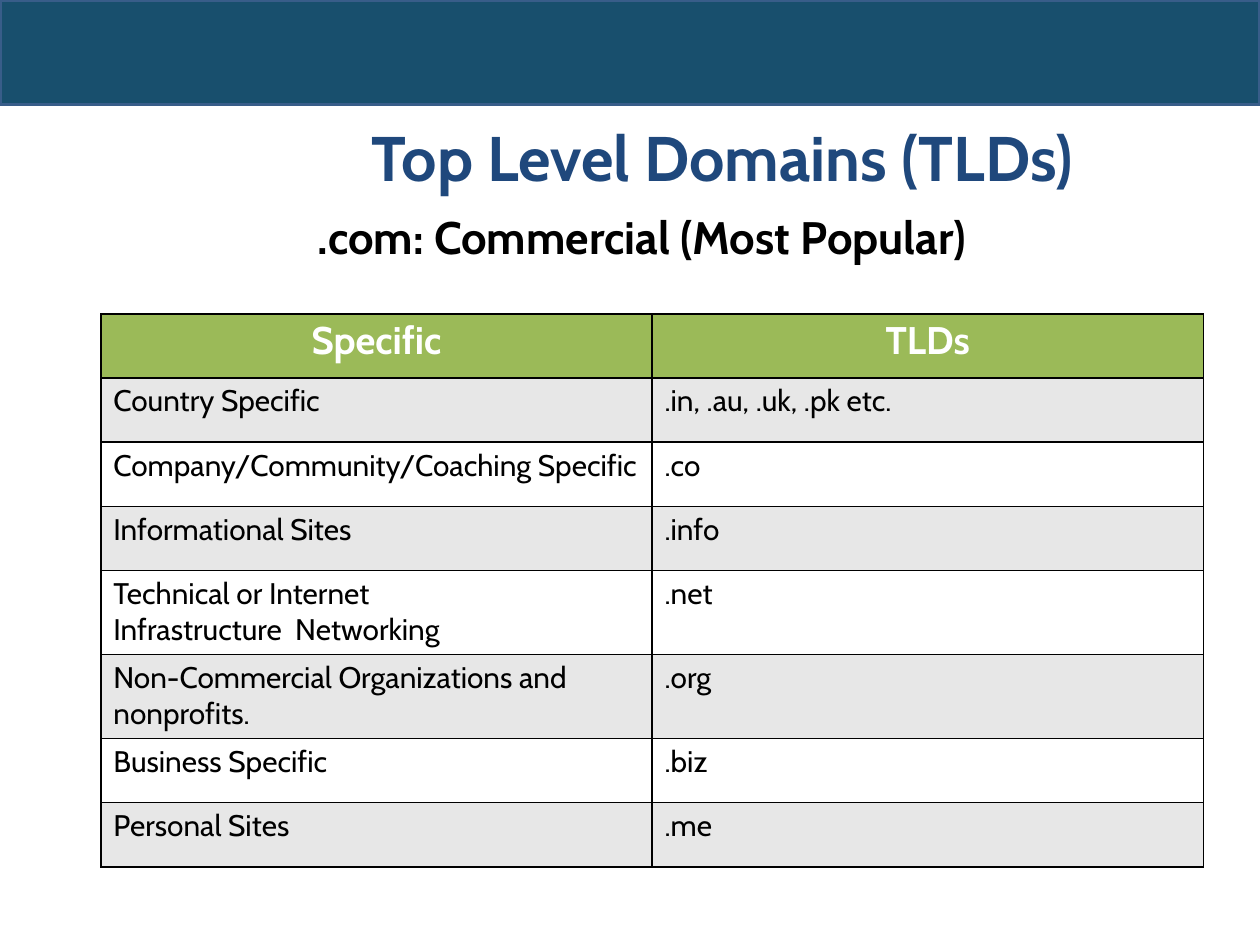
from dataclasses import dataclass

from lxml import etree
from pptx import Presentation
from pptx.dml.color import RGBColor
from pptx.enum.shapes import MSO_SHAPE
from pptx.enum.text import MSO_ANCHOR, PP_ALIGN
from pptx.oxml.ns import qn
from pptx.util import Inches, Pt

RECTANGLE = MSO_SHAPE.RECTANGLE
TOP = MSO_ANCHOR.TOP
LEFT, CENTER = PP_ALIGN.LEFT, PP_ALIGN.CENTER


@dataclass(frozen=True)
class Theme:
    font: str = "Cabin"
    banner: str = "184F6D"
    banner_line: str = "385D89"
    title: str = "1F487C"
    text: str = "000000"
    header: str = "9BBA58"
    header_text: str = "FFFFFF"
    band: str = "E7E7E7"
    plain: str = "FFFFFF"
    border: str = "000000"
    title_size: float = 36
    subtitle_size: float = 26
    header_size: float = 22
    body_size: float = 17


class SlideBuilder:
    def __init__(self, page, theme):
        self.page = page
        self.theme = theme

    def style(self, para, size, color, bold=False, before=0, align=LEFT):
        para.alignment = align
        para.space_before = Pt(before)
        para.font.name = self.theme.font
        para.font.size = Pt(size)
        para.font.bold = bold
        para.font.color.rgb = RGBColor.from_string(color)

    def banner(self, width, height):
        box = self.page.shapes.add_shape(RECTANGLE, 0, 0, Inches(width), Inches(height))
        box.shadow.inherit = False
        box.fill.solid()
        box.fill.fore_color.rgb = RGBColor.from_string(self.theme.banner)
        box.line.color.rgb = RGBColor.from_string(self.theme.banner_line)
        box.line.width = Pt(2)

    def heading(self, left, top, width, height, lines):
        box = self.page.shapes.add_textbox(
            Inches(left), Inches(top), Inches(width), Inches(height))
        frame = box.text_frame
        frame.word_wrap = True
        frame.vertical_anchor = TOP
        frame.margin_left = frame.margin_right = frame.margin_bottom = 0
        frame.margin_top = Inches(0.17)
        frame.text = "\n".join(line[0] for line in lines)
        for para, (_, indent, before, size, color) in zip(frame.paragraphs, lines):
            self.style(para, size, color, bold=True, before=before)
            para._p.get_or_add_pPr().set("marL", str(Inches(indent)))

    def border(self, cell):
        properties = cell._tc.get_or_add_tcPr()
        for position, side in enumerate(("a:lnL", "a:lnR", "a:lnT", "a:lnB")):
            line = etree.Element(qn(side), w=str(Pt(1)))
            fill = etree.SubElement(line, qn("a:solidFill"))
            etree.SubElement(fill, qn("a:srgbClr"), val=self.theme.border)
            properties.insert(position, line)

    def cell(self, cell, text, fill, header):
        theme = self.theme
        cell.fill.solid()
        cell.fill.fore_color.rgb = RGBColor.from_string(fill)
        cell.margin_left = Inches(0 if header else 0.1)
        cell.margin_right = cell.margin_bottom = 0
        cell.margin_top = Inches(0.03 if header else 0.04)
        cell.vertical_anchor = TOP
        cell.text = text
        for index, para in enumerate(cell.text_frame.paragraphs):
            if header:
                self.style(para, theme.header_size, theme.header_text, True, 2.3, CENTER)
            else:
                self.style(para, theme.body_size, theme.text, before=0 if index else 2.6)
        self.border(cell)

    def table(self, left, top, width, rows):
        heights = [0.665 if "\n" in row[0] or "\v" in row[0] else 0.51 for row in rows]
        table = self.page.shapes.add_table(
            len(rows), len(rows[0]), Inches(left), Inches(top),
            Inches(width), Inches(sum(heights))).table
        for row_index, (row, height) in enumerate(zip(rows, heights)):
            table.rows[row_index].height = Inches(height)
            header = row_index == 0
            band = self.theme.band if row_index % 2 else self.theme.plain
            for column_index, text in enumerate(row):
                self.cell(table.cell(row_index, column_index), text,
                          self.theme.header if header else band, header)


def main():
    deck = Presentation()
    deck.slide_width, deck.slide_height = Inches(10), Inches(7.5)
    theme = Theme()
    builder = SlideBuilder(deck.slides.add_slide(deck.slide_layouts[6]), theme)

    builder.banner(10, 0.83)
    builder.heading(1.78, 0.77, 7.77, 1.34, [
        ("Top Level Domains (TLDs)", 1.17, 12.4, theme.title_size, theme.title),
        (".com: Commercial (Most Popular)", 0.74, 8.3, theme.subtitle_size, theme.text),
    ])
    builder.table(0.8, 2.49, 8.75, [
        ("Specific", "TLDs"),
        ("Country Specific", ".in, .au, .uk, .pk etc."),
        ("Company/Community/Coaching Specific", ".co"),
        ("Informational Sites", ".info"),
        ("Technical or Internet\vInfrastructure  Networking", ".net"),
        ("Non-Commercial Organizations and\nnonprofits.", ".org"),
        ("Business Specific", ".biz"),
        ("Personal Sites", ".me"),
    ])
    deck.save("out.pptx")


if __name__ == "__main__":
    main()
